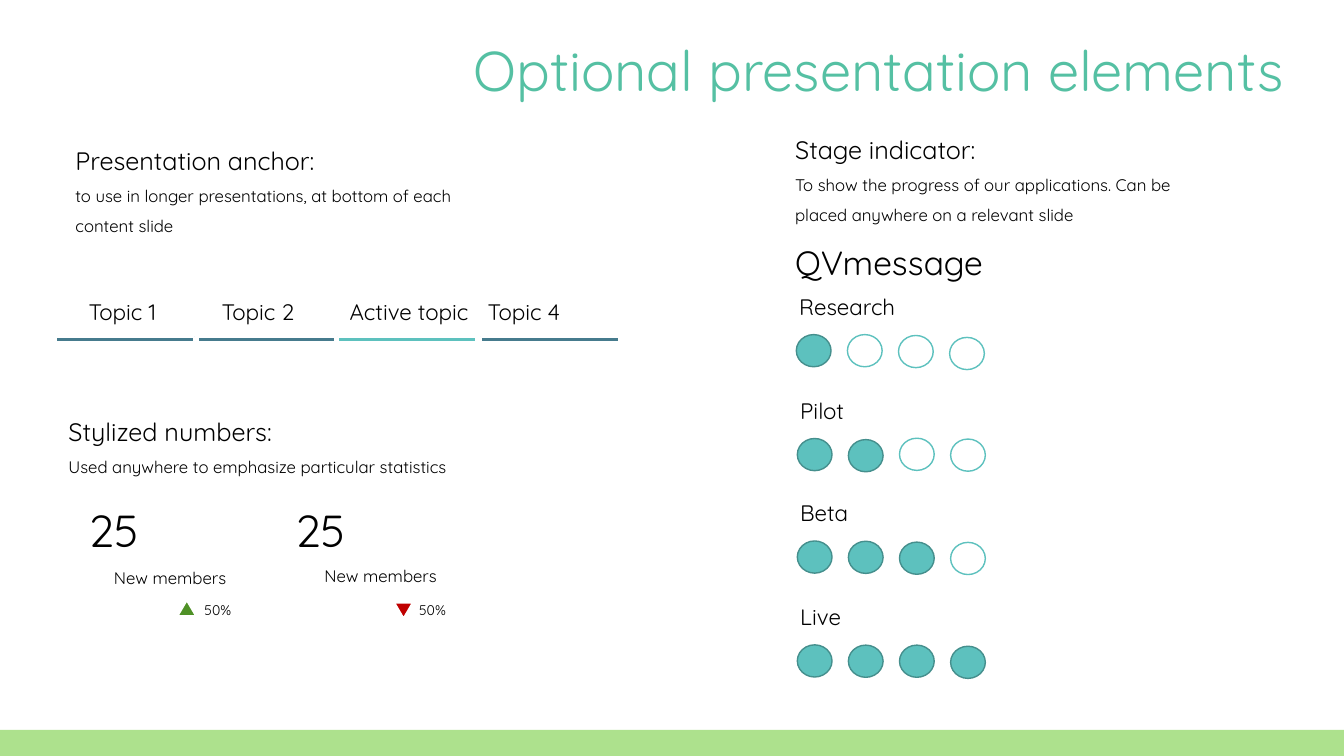
from dataclasses import dataclass

from pptx import Presentation
from pptx.dml.color import RGBColor
from pptx.enum.shapes import MSO_SHAPE
from pptx.enum.text import MSO_ANCHOR, PP_ALIGN
from pptx.shapes.autoshape import Shape
from pptx.slide import Slide
from pptx.util import Pt

RECTANGLE = MSO_SHAPE.RECTANGLE
OVAL = MSO_SHAPE.OVAL
TRIANGLE = MSO_SHAPE.ISOSCELES_TRIANGLE
LEFT, RIGHT = PP_ALIGN.LEFT, PP_ALIGN.RIGHT
TOP, MIDDLE = MSO_ANCHOR.TOP, MSO_ANCHOR.MIDDLE

FONT = "Quicksand"
BLACK, WHITE = "000000", "FFFFFF"
TITLE_GREEN, FOOTER_GREEN = "55C0A3", "ADE18D"
TEAL, DARK_TEAL, BLUE = "5DC1BE", "458F8D", "467B8D"
UP_GREEN, DOWN_RED = "4F9126", "C00000"

DOT_LEFT, DOT_STEP = 569.5, 36.5


@dataclass
class Section:
    heading: str
    detail: str
    left: float
    top: float
    height: float


@dataclass
class Topic:
    name: str
    label_left: float
    bar_left: float
    active: bool = False


@dataclass
class Stage:
    name: str
    label_top: float
    dot_tops: tuple[float, ...]
    reached: int
    shift: float = 0


@dataclass
class Statistic:
    left: float
    caption_left: float
    caption_top: float
    marker_left: float
    marker_top: float
    change_left: float
    color: str
    rotation: float


SECTIONS = [
    Section("Presentation anchor:",
            "to use in longer presentations, at bottom of each content slide",
            46.8, 89.3, 82),
    Section("Stage indicator:",
            "To show the progress of our applications. Can be placed anywhere "
            "on a relevant slide", 560.9, 81.4, 82),
    Section("Stylized numbers:",
            "Used anywhere to emphasize particular statistics",
            41.8, 283, 60),
]
TOPICS = [
    Topic("Topic 1", 56.2, 40.3),
    Topic("Topic 2", 151.2, 141.1),
    Topic("Active topic", 242.6, 241.2, active=True),
    Topic("Topic 4", 341.3, 343.4),
]
STAGES = [
    Stage("Research", 206, (239, 239, 239.6, 241), 1, shift=-0.7),
    Stage("Pilot", 280, (313.2, 314, 313, 313.6), 2),
    Stage("Beta", 353, (386.4, 386.6, 387.2, 387.4), 3),
    Stage("Live", 427.5, (460.6, 460.8, 460.8, 461.6), 4),
]
STATISTICS = [
    Statistic(56.2, 74.2, 401.8, 126.7, 428.6, 139, UP_GREEN, 0),
    Statistic(203.8, 224.6, 400.6, 281.5, 430.4, 292.3, DOWN_RED, 180),
]


def rgb(color: str) -> RGBColor:
    return RGBColor.from_string(color)


def add_text(page: Slide, text: str, *, left: float, top: float, width: float,
             height: float, sizes: tuple[float, ...], color: str = BLACK,
             align: PP_ALIGN = LEFT, anchor: MSO_ANCHOR = TOP,
             spacing: float = 1.0) -> None:
    box = page.shapes.add_textbox(Pt(left), Pt(top), Pt(width), Pt(height))
    frame = box.text_frame
    frame.word_wrap = True
    frame.vertical_anchor = anchor
    frame.text = text
    for para, size in zip(frame.paragraphs, sizes):
        para.alignment = align
        para.line_spacing = spacing
        for span in para.runs:
            span.font.name = FONT
            span.font.size = Pt(size)
            span.font.color.rgb = rgb(color)


def add_block(page: Slide, kind: MSO_SHAPE, *, left: float, top: float,
              width: float, height: float, fill: str, line: str | None = None,
              weight: float = 1.5) -> Shape:
    block = page.shapes.add_shape(kind, Pt(left), Pt(top), Pt(width), Pt(height))
    block.shadow.inherit = False
    block.fill.solid()
    block.fill.fore_color.rgb = rgb(fill)
    if line is None:
        block.line.fill.background()
    else:
        block.line.color.rgb = rgb(line)
        block.line.width = Pt(weight)
    return block


def add_section(page: Slide, section: Section) -> None:
    add_text(page, f"{section.heading}\n{section.detail}", left=section.left,
             top=section.top, width=308, height=section.height,
             sizes=(18, 12), spacing=1.5)


def add_topic(page: Slide, topic: Topic) -> None:
    add_block(page, RECTANGLE, left=topic.bar_left, top=240.5, width=98.6,
              height=3.6, fill=TEAL if topic.active else BLUE, line=WHITE)
    add_text(page, topic.name, left=topic.label_left, top=209.5, width=112,
             height=26.6, sizes=(16,))


def add_stage(page: Slide, stage: Stage) -> None:
    add_text(page, stage.name, left=564.5 + stage.shift, top=stage.label_top,
             width=112, height=26.6, sizes=(16,))
    for index, top in enumerate(stage.dot_tops):
        done = index < stage.reached
        add_block(page, OVAL, left=DOT_LEFT + stage.shift + index * DOT_STEP,
                  top=top, width=24.8, height=23, fill=TEAL if done else WHITE,
                  line=DARK_TEAL if done else TEAL, weight=1)


def add_statistic(page: Slide, statistic: Statistic) -> None:
    add_text(page, "25", left=statistic.left, top=355.7, width=63.4, height=46,
             sizes=(32,))
    add_text(page, "New members", left=statistic.caption_left,
             top=statistic.caption_top, width=140, height=21.8, sizes=(12,))
    marker = add_block(page, TRIANGLE, left=statistic.marker_left,
                       top=statistic.marker_top, width=13.5, height=11.5,
                       fill=statistic.color, line=WHITE)
    marker.rotation = statistic.rotation
    add_text(page, "50%", left=statistic.change_left, top=426.2, width=44,
             height=19.4, sizes=(10,))


def main() -> None:
    deck = Presentation()
    deck.slide_width, deck.slide_height = Pt(960), Pt(540)
    page = deck.slides.add_slide(deck.slide_layouts[6])
    add_text(page, "Optional presentation elements", left=245.5, top=1.4,
             width=678.2, height=102.2, sizes=(40,), color=TITLE_GREEN,
             align=RIGHT, anchor=MIDDLE, spacing=0.9)
    add_block(page, RECTANGLE, left=0, top=521.3, width=960, height=18.7,
              fill=FOOTER_GREEN)
    for section in SECTIONS:
        add_section(page, section)
    for topic in TOPICS:
        add_topic(page, topic)
    add_text(page, "QVmessage", left=560.9, top=169.2, width=180, height=36,
             sizes=(24,))
    for stage in STAGES:
        add_stage(page, stage)
    for statistic in STATISTICS:
        add_statistic(page, statistic)
    deck.save("out.pptx")


if __name__ == "__main__":
    main()
